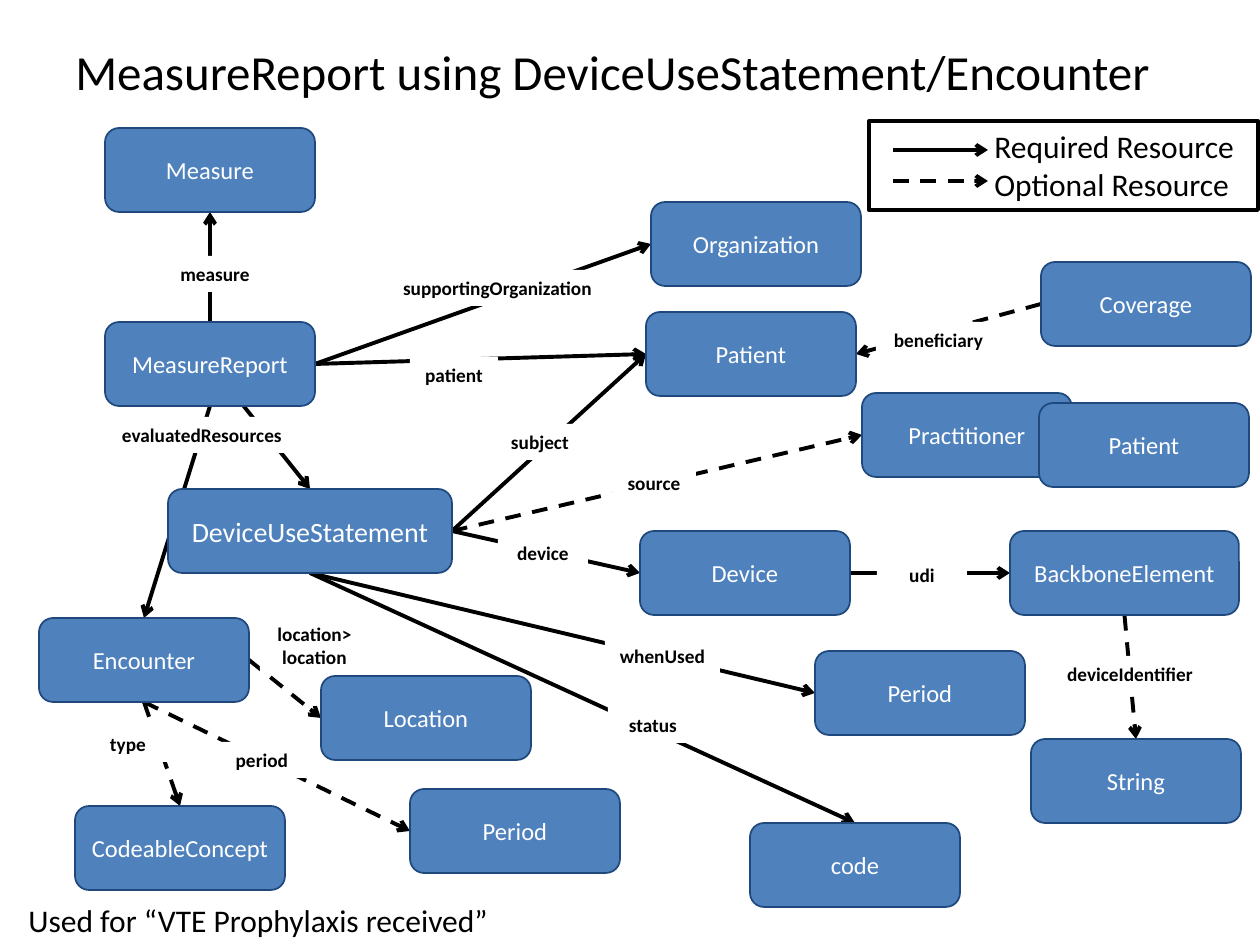
from lxml.etree import SubElement
from pptx import Presentation
from pptx.dml.color import RGBColor
from pptx.enum.dml import MSO_LINE
from pptx.enum.shapes import MSO_CONNECTOR, MSO_SHAPE
from pptx.enum.text import MSO_ANCHOR, PP_ALIGN
from pptx.oxml.ns import qn
from pptx.util import Pt

PX = 914400 // 126
BLACK = RGBColor(0x00, 0x00, 0x00)
WHITE = RGBColor(0xFF, 0xFF, 0xFF)
BLUE = RGBColor(0x4F, 0x81, 0xBD)
NAVY = RGBColor(0x1F, 0x49, 0x7D)

NODE_WIDTH, NODE_HEIGHT = 210, 84
TOP, LEFT, BOTTOM, RIGHT = range(4)  # connection sites of a node
CENTRE = None

TITLE = "MeasureReport using DeviceUseStatement/Encounter"
FOOTNOTE = "Used for “VTE Prophylaxis received”"

# key: (text, left, top, width, text size)
NODES = {
    "measure": ("Measure", 105, 128, NODE_WIDTH, 14),
    "statement": ("DeviceUseStatement", 168, 489, 284, 16),
    "organization": ("Organization", 651, 202, NODE_WIDTH, 14),
    "patient": ("Patient", 646, 312, NODE_WIDTH, 14),
    "coverage": ("Coverage", 1041, 262, NODE_WIDTH, 14),
    "practitioner": ("Practitioner", 862, 393, NODE_WIDTH, 14),
    "source patient": ("Patient", 1039, 403, NODE_WIDTH, 14),
    "report": ("MeasureReport", 105, 322, NODE_WIDTH, 14),
    "device": ("Device", 640, 531, NODE_WIDTH, 14),
    "code": ("code", 750, 823, NODE_WIDTH, 14),
    "use period": ("Period", 815, 651, NODE_WIDTH, 14),
    "encounter": ("Encounter", 39, 618, NODE_WIDTH, 14),
    "location": ("Location", 321, 676, NODE_WIDTH, 14),
    "stay period": ("Period", 410, 789, NODE_WIDTH, 14),
    "concept": ("CodeableConcept", 75, 806, NODE_WIDTH, 14),
    "backbone": ("BackboneElement", 1010, 531, 229, 14),
    "string": ("String", 1031, 739, NODE_WIDTH, 14),
}

# (from node, site, to node, site, optional)
LINKS = [
    ("report", BOTTOM, "encounter", TOP, False),
    ("report", TOP, "measure", BOTTOM, False),
    ("report", CENTRE, "statement", TOP, False),
    ("report", RIGHT, "organization", LEFT, False),
    ("report", RIGHT, "patient", LEFT, False),
    ("statement", RIGHT, "patient", LEFT, False),
    ("statement", RIGHT, "practitioner", LEFT, True),
    ("statement", RIGHT, "device", LEFT, False),
    ("statement", BOTTOM, "code", TOP, False),
    ("statement", BOTTOM, "use period", LEFT, False),
    ("coverage", LEFT, "patient", RIGHT, True),
    ("encounter", RIGHT, "location", LEFT, True),
    ("encounter", BOTTOM, "stay period", LEFT, True),
    ("encounter", BOTTOM, "concept", TOP, True),
    ("device", RIGHT, "backbone", LEFT, False),
    ("backbone", BOTTOM, "string", TOP, True),
]

# (lines, left, top, width)
LABELS = [
    (["measure"], 136, 256, 158),
    (["supportingOrganization"], 382, 270, 231),
    (["evaluatedResources"], 89, 417, 226),
    (["beneficiary"], 876, 322, 125),
    (["subject"], 495, 424, 90),
    (["patient"], 410, 357, 88),
    (["device"], 498, 535, 90),
    (["status"], 608, 707, 90),
    (["whenUsed"], 605, 638, 115),
    (["location>", "location"], 260, 616, 109),
    (["period"], 217, 742, 90),
    (["type"], 83, 726, 90),
    (["source"], 612, 465, 84),
    (["udi"], 877, 557, 90),
    (["deviceIdentifier"], 1053, 656, 154),
]

LEGEND_BOX = (869, 121, 389, 89)
LEGEND_INDENT = 113
LEGEND = [("Required Resource", 150, False), ("Optional Resource", 181, True)]
LEGEND_ARROW = (893, 988)

NODE_FONT = {"name": "Calibri", "bold": False}
LABEL_FONT = {"name": "Calibri", "bold": True, "size": Pt(11)}
BODY_FONT = {"name": "Calibri", "bold": False, "size": Pt(18)}


def emu(*lengths):
    return [length * PX for length in lengths]


def write(box, lines, font, color, align=PP_ALIGN.LEFT, anchor=MSO_ANCHOR.TOP):
    frame = box.text_frame
    frame.word_wrap = True
    frame.vertical_anchor = anchor
    for number, line in enumerate(lines):
        para = frame.add_paragraph() if number else frame.paragraphs[0]
        para.alignment = align
        span = para.add_run()
        span.text = line
        span.font.color.rgb = color
        for name, value in font.items():
            setattr(span.font, name, value)


def add_box(page, kind, place, fill=None, line=None, line_width=1):
    box = page.shapes.add_shape(kind, *emu(*place))
    box.shadow.inherit = False
    if fill is None:
        box.fill.background()
    else:
        box.fill.solid()
        box.fill.fore_color.rgb = fill
    if line is None:
        box.line.fill.background()
    else:
        box.line.color.rgb = line
        box.line.width = Pt(line_width)
    return box


def add_arrow(page, start, end, optional):
    arrow = page.shapes.add_connector(MSO_CONNECTOR.STRAIGHT, *start, *end)
    arrow.line.color.rgb = BLACK
    arrow.line.width = Pt(2.25)
    if optional:
        arrow.line.dash_style = MSO_LINE.DASH
    SubElement(arrow.line._get_or_add_ln(), qn("a:tailEnd"), type="arrow")
    SubElement(arrow._element.spPr, qn("a:effectLst"))
    return arrow


def add_link(page, source, source_site, target, target_site, optional):
    """Join two nodes by an arrow that lies behind all boxes."""
    centre = (source.left + source.width // 2, source.top + source.height // 2)
    arrow = add_arrow(page, centre, centre, optional)
    if source_site is not CENTRE:
        arrow.begin_connect(source, source_site)
    arrow.end_connect(target, target_site)
    page.shapes._spTree.insert(2, arrow._element)


def add_legend(page):
    box = add_box(page, MSO_SHAPE.RECTANGLE, LEGEND_BOX, None, BLACK, 2.25)
    write(box, [text for text, _, _ in LEGEND], BODY_FONT, BLACK)
    for para in box.text_frame.paragraphs:
        para._p.get_or_add_pPr().set("marL", str(LEGEND_INDENT * PX))
    left, right = LEGEND_ARROW
    for _, y, optional in LEGEND:
        add_arrow(page, emu(left, y), emu(right, y), optional)


def main():
    deck = Presentation()
    deck.slide_width, deck.slide_height = emu(1260, 945)
    page = deck.slides.add_slide(deck.slide_layouts[6])

    title = page.shapes.add_textbox(*emu(63, -8, 1134, 158))
    write(title, [TITLE], {"name": "Calibri", "size": Pt(28)}, BLACK,
          anchor=MSO_ANCHOR.MIDDLE)
    footnote = page.shapes.add_textbox(*emu(16, 895, 660, 50))
    write(footnote, [FOOTNOTE], BODY_FONT, BLACK)

    nodes = {}
    for key, (text, left, top, width, size) in NODES.items():
        nodes[key] = add_box(page, MSO_SHAPE.FLOWCHART_ALTERNATE_PROCESS,
                             (left, top, width, NODE_HEIGHT), BLUE, NAVY)
        write(nodes[key], [text], {**NODE_FONT, "size": Pt(size)}, WHITE,
              PP_ALIGN.CENTER, MSO_ANCHOR.MIDDLE)
    for lines, left, top, width in LABELS:
        height = 13 + 23 * len(lines)
        label = add_box(page, MSO_SHAPE.RECTANGLE, (left, top, width, height), WHITE)
        write(label, lines, LABEL_FONT, BLACK, PP_ALIGN.CENTER)
    for source, source_site, target, target_site, optional in LINKS:
        add_link(page, nodes[source], source_site, nodes[target], target_site, optional)
    add_legend(page)

    deck.save("out.pptx")


if __name__ == "__main__":
    main()
